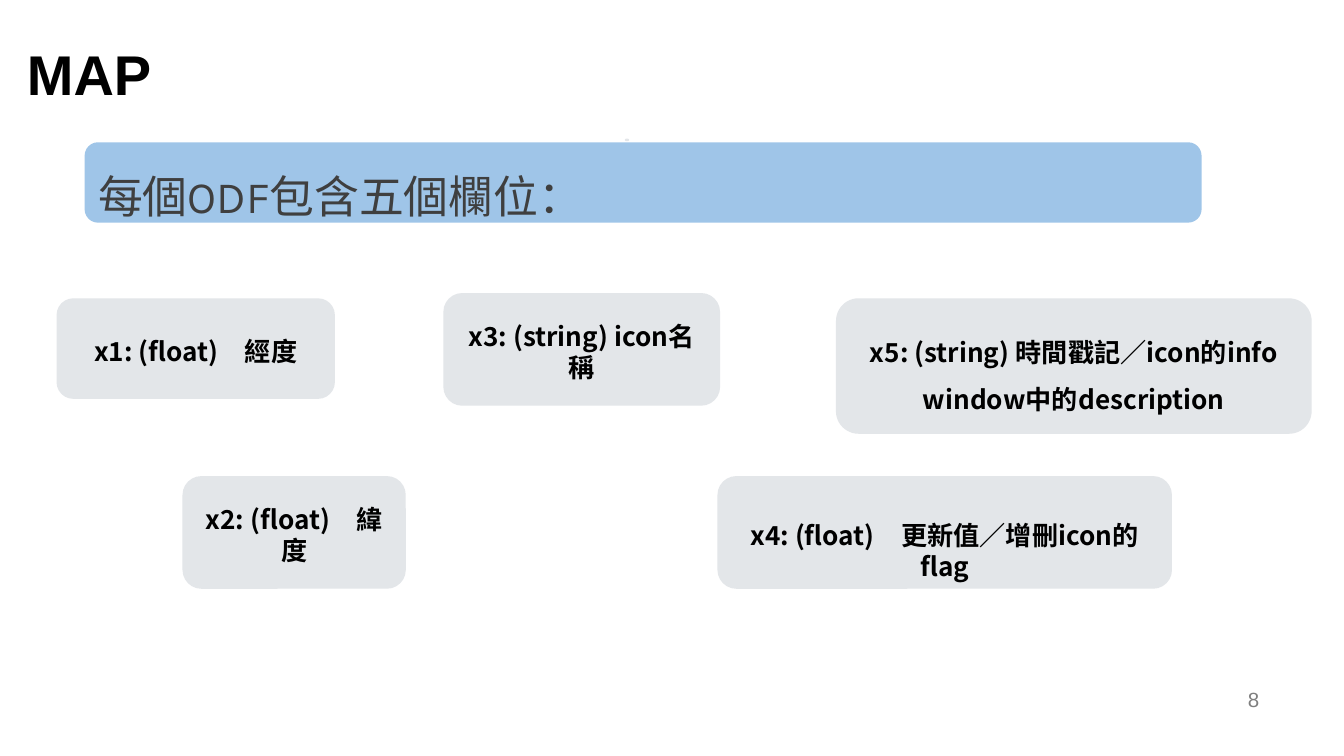
from dataclasses import dataclass

from lxml.etree import SubElement
from pptx import Presentation
from pptx.dml.color import RGBColor
from pptx.enum.shapes import MSO_SHAPE
from pptx.enum.text import MSO_ANCHOR, PP_ALIGN
from pptx.oxml.ns import qn
from pptx.shapes.base import BaseShape
from pptx.slide import Slide
from pptx.util import Cm, Pt

COLORS = {
    "black": "000000",
    "heading": "3F3F3F",
    "number": "7F7F7F",
    "card": "E3E6E9",
    "banner": "9FC5E8",
}
CJK_FONT = "Noto Sans CJK TC"


@dataclass(frozen=True)
class Box:
    """A rectangle in centimetres."""

    left: float
    top: float
    width: float
    height: float

    def lengths(self) -> tuple[Cm, Cm, Cm, Cm]:
        """Return the position and size as lengths."""
        return Cm(self.left), Cm(self.top), Cm(self.width), Cm(self.height)


@dataclass(frozen=True)
class TextStyle:
    """The look of a one-paragraph text."""

    size: float
    color: str
    font: str = "Arial"
    bold: bool = False
    align: PP_ALIGN = PP_ALIGN.LEFT
    anchor: MSO_ANCHOR = MSO_ANCHOR.MIDDLE


@dataclass(frozen=True)
class Card:
    """One field of the ODF."""

    text: str
    box: Box
    line_spacing: float = 1.0
    top_inset: float = 0.18


TITLE = TextStyle(30, "black", bold=True, anchor=MSO_ANCHOR.BOTTOM)
NUMBER = TextStyle(11, "number", align=PP_ALIGN.RIGHT)
BANNER = TextStyle(24, "heading", font="Karla")
FIELD = TextStyle(14, "black", font=CJK_FONT, bold=True, align=PP_ALIGN.CENTER)

CARDS = [
    Card("x3: (string) icon名稱", Box(8.38, 5.54, 5.23, 2.13)),
    Card("x1: (float)　經度", Box(1.07, 5.64, 5.26, 1.9)),
    Card("x2: (float)　緯度", Box(3.45, 9, 4.22, 2.13)),
    Card("x4: (float)　更新值／增刪icon的flag", Box(13.56, 9, 8.59, 2.13), top_inset=0.78),
    Card("x5: (string) 時間戳記／icon的info window中的description",
         Box(15.8, 5.64, 8.99, 2.56), line_spacing=1.5),
]


def write_text(shape: BaseShape, text: str, style: TextStyle,
               line_spacing: float = 1.0, top_inset: float = 0.1) -> None:
    """Write one styled paragraph into a shape."""
    frame = shape.text_frame
    frame.word_wrap = True
    frame.vertical_anchor = style.anchor
    frame.margin_left = frame.margin_right = Cm(0.18)
    frame.margin_top, frame.margin_bottom = Cm(top_inset), Cm(0.1)
    paragraph = frame.paragraphs[0]
    paragraph.alignment = style.align
    paragraph.line_spacing = line_spacing
    run = paragraph.add_run()
    run.text = text
    run.font.size = Pt(style.size)
    run.font.bold = style.bold
    run.font.name = style.font
    run.font.color.rgb = RGBColor.from_string(COLORS[style.color])
    SubElement(run.font._element, qn("a:ea")).set("typeface", CJK_FONT)


def add_label(slide: Slide, box: Box, text: str, style: TextStyle,
              line_spacing: float = 1.0) -> None:
    """Add a plain text box."""
    write_text(slide.shapes.add_textbox(*box.lengths()), text, style, line_spacing)


def add_filled(slide: Slide, kind: MSO_SHAPE, box: Box, color: str) -> BaseShape:
    """Add a flat shape without an outline."""
    shape = slide.shapes.add_shape(kind, *box.lengths())
    shape.shadow.inherit = False
    shape.fill.solid()
    shape.fill.fore_color.rgb = RGBColor.from_string(COLORS[color])
    shape.line.fill.background()
    return shape


def main() -> None:
    """Build the slide and save it."""
    presentation = Presentation()
    presentation.slide_width, presentation.slide_height = Cm(25.4), Cm(14.29)
    slide = presentation.slides.add_slide(presentation.slide_layouts[6])

    add_label(slide, Box(0.33, 0, 3.23, 2.13), "MAP", TITLE, 0.9)
    add_label(slide, Box(17.91, 13, 6.07, 0.43), "8", NUMBER)
    add_filled(slide, MSO_SHAPE.OVAL, Box(11.81, 2.62, 0.08, 0.05), "card")
    for card in CARDS:
        shape = add_filled(slide, MSO_SHAPE.ROUNDED_RECTANGLE, card.box, "card")
        write_text(shape, card.text, FIELD, card.line_spacing, card.top_inset)
    banner = add_filled(slide, MSO_SHAPE.ROUNDED_RECTANGLE,
                        Box(1.6, 2.69, 21.11, 1.52), "banner")
    write_text(banner, "每個ODF包含五個欄位：", BANNER, 1.5)

    presentation.save("out.pptx")


if __name__ == "__main__":
    main()
